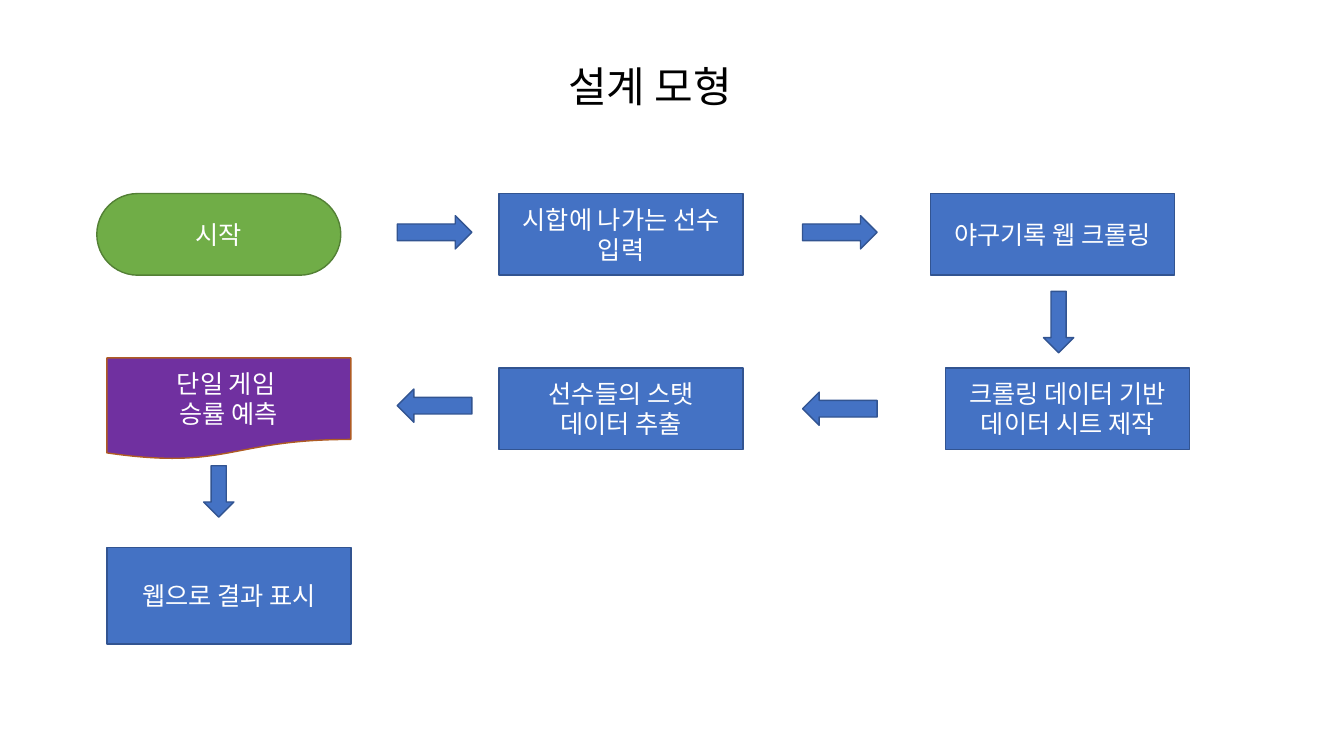
import lxml.etree
import pptx
import pptx.dml.color
import pptx.enum.shapes
import pptx.enum.text
import pptx.oxml.ns
import pptx.util

Inches = pptx.util.Inches
SHAPE = pptx.enum.shapes.MSO_SHAPE


def color(value):
    """Turn a hex string into a colour."""
    return pptx.dml.color.RGBColor.from_string(value)


def write(tf, text, size=18, fill="FFFFFF", font="Noto Sans CJK KR",
          anchor=pptx.enum.text.MSO_ANCHOR.MIDDLE):
    """Write centred text, one paragraph per line."""
    tf.word_wrap = True
    tf.vertical_anchor = anchor
    for i, line in enumerate(text.split("\n")):
        p = tf.paragraphs[0] if i == 0 else tf.add_paragraph()
        p.alignment = pptx.enum.text.PP_ALIGN.CENTER
        r = p.add_run()
        r.text = line
        r.font.size = pptx.util.Pt(size)
        r.font.color.rgb = color(fill)
        r.font.name = font
        ea = lxml.etree.SubElement(r.font._element, pptx.oxml.ns.qn("a:ea"))
        ea.set("typeface", font)


class Flowchart:
    """Hold the style and the current slide."""

    BLUE, BLUE_LINE = "4472C4", "325491"
    STEP_W, STEP_H = 2.42, 0.81

    def __init__(self, prs):
        """Add a blank slide."""
        self.s = prs.slides.add_slide(prs.slide_layouts[6])

    def title(self, text, x, y, w, h):
        """Add the slide title."""
        sp = self.s.shapes.add_textbox(Inches(x), Inches(y), Inches(w), Inches(h))
        write(sp.text_frame, text, size=30, fill="000000",
              anchor=pptx.enum.text.MSO_ANCHOR.TOP)
        sp.text_frame.auto_size = pptx.enum.text.MSO_AUTO_SIZE.SHAPE_TO_FIT_TEXT

    def shape(self, kind, x, y, w, h, fill=BLUE, line=BLUE_LINE):
        """Add a filled and outlined shape."""
        sp = self.s.shapes.add_shape(kind, Inches(x), Inches(y), Inches(w), Inches(h))
        sp.shadow.inherit = False
        sp.fill.solid()
        sp.fill.fore_color.rgb = color(fill)
        sp.line.color.rgb = color(line)
        sp.line.width = pptx.util.Pt(1)
        return sp

    def step(self, text, x, y, h=STEP_H, kind=SHAPE.RECTANGLE, **style):
        """Add a step with its text."""
        sp = self.shape(kind, x, y, self.STEP_W, h, **style)
        write(sp.text_frame, text)
        return sp

    def across(self, kind, x, y):
        """Add a horizontal arrow."""
        self.shape(kind, x, y, 0.74, 0.33)

    def down(self, x, y, h):
        """Add a downward arrow."""
        self.shape(SHAPE.DOWN_ARROW, x, y, 0.3, h)


def main():
    """Build the design model slide."""
    prs = pptx.Presentation()
    prs.slide_width, prs.slide_height = Inches(13.33), Inches(7.5)
    chart = Flowchart(prs)
    row1, row2 = 1.92, 3.65
    left, middle = 1.06, 4.95
    gap1, gap2 = 3.94, 7.96

    chart.title("설계 모형", 2.25, 0.55, 8.4, 0.61)
    start = chart.step("시작", 0.96, row1, kind=SHAPE.ROUNDED_RECTANGLE,
                       fill="70AD47", line="538035")
    start.adjustments[0] = 0.5
    chart.across(SHAPE.RIGHT_ARROW, gap1, 2.14)
    chart.step("시합에 나가는 선수 입력", middle, row1)
    chart.across(SHAPE.RIGHT_ARROW, gap2, 2.14)
    chart.step("야구기록 웹 크롤링", 9.23, row1)
    chart.down(10.35, 2.89, 0.61)
    chart.step("크롤링 데이터 기반 데이터 시트 제작", 9.38, row2)
    chart.across(SHAPE.LEFT_ARROW, gap2, 3.89)
    chart.step("선수들의 스탯\n데이터 추출", middle, row2)
    chart.across(SHAPE.LEFT_ARROW, gap1, 3.86)
    chart.step("단일 게임 \n승률 예측", left, 3.55, h=1.01,
               kind=SHAPE.FLOWCHART_DOCUMENT, fill="7030A0", line="AF5C24")
    chart.down(2.02, 4.62, 0.51)
    chart.step("웹으로 결과 표시", left, 5.43, h=0.96)
    prs.save("out.pptx")


if __name__ == "__main__":
    main()
